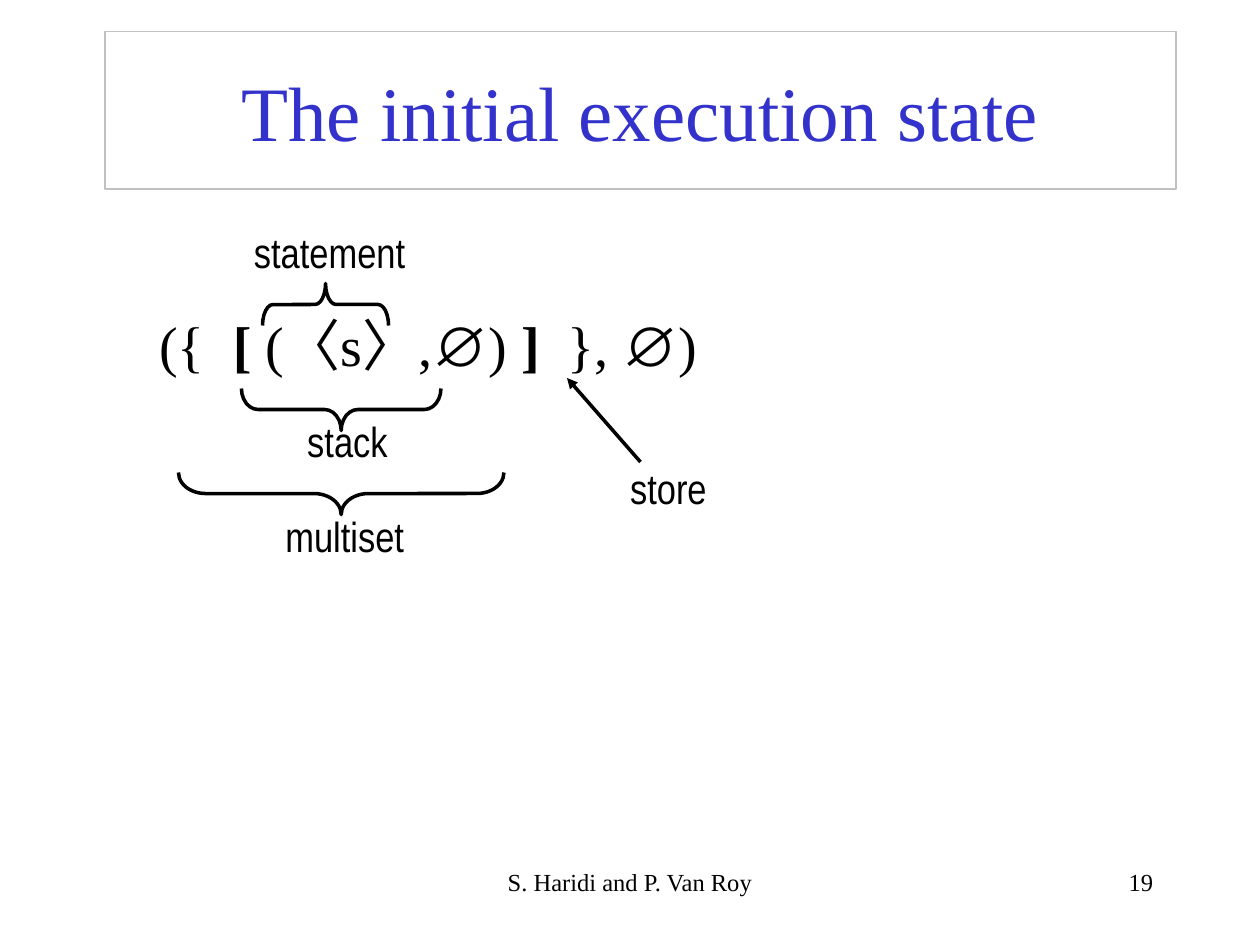
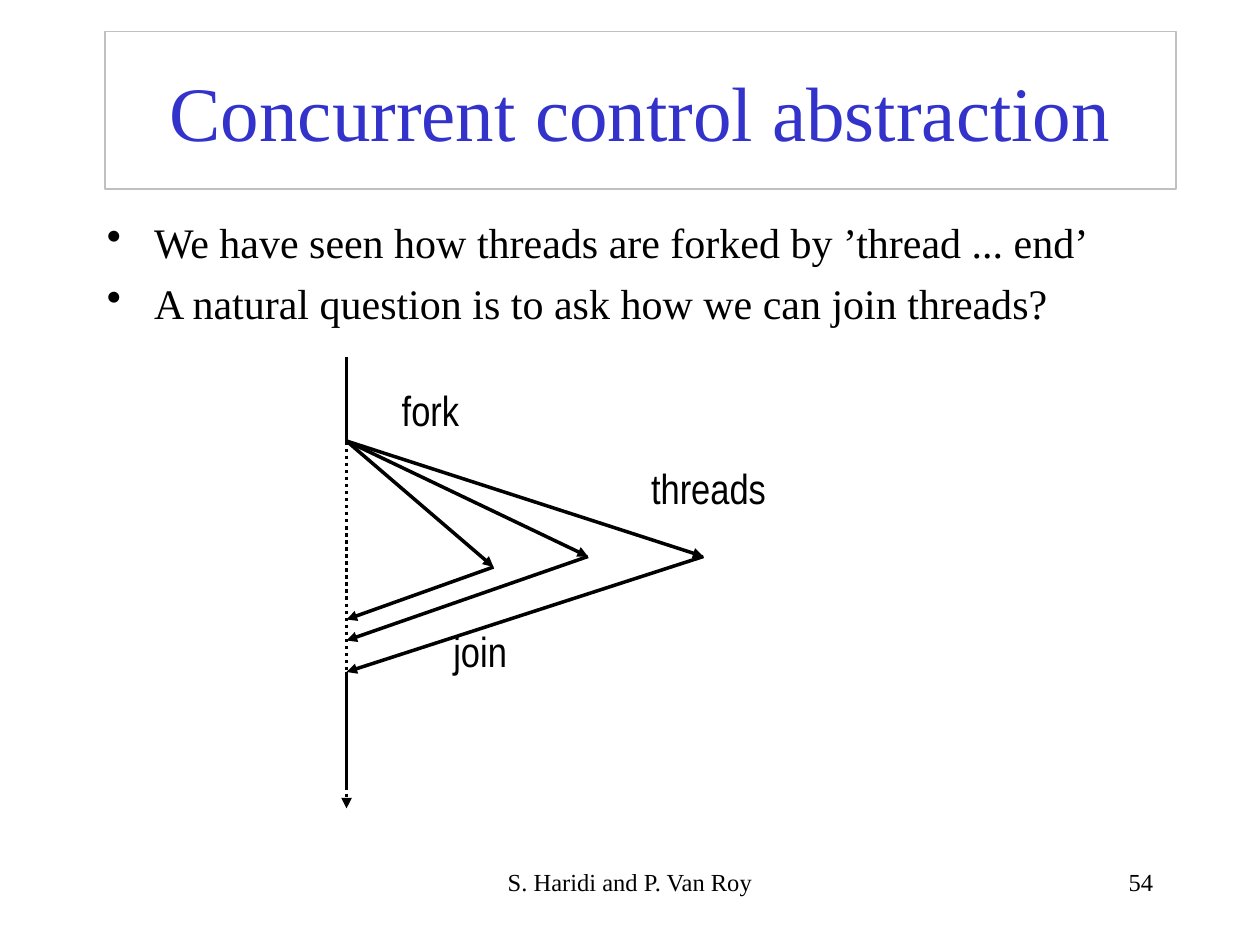
from lxml.etree import SubElement
from pptx import Presentation
from pptx.dml.color import RGBColor
from pptx.enum.dml import MSO_LINE
from pptx.enum.shapes import MSO_CONNECTOR, MSO_SHAPE
from pptx.enum.text import MSO_ANCHOR, MSO_AUTO_SIZE, PP_ALIGN
from pptx.oxml.ns import qn
from pptx.util import Pt

BLACK = RGBColor(0x00, 0x00, 0x00)
TITLE_BLUE = RGBColor(0x33, 0x33, 0xCC)
FRAME_GRAY = RGBColor(0xC0, 0xC0, 0xC0)
SERIF, SANS, NARROW = "Times New Roman", "Arial", "Arial Narrow"


def write(paragraph, text, font=SERIF, size=24, color=BLACK, bold=False, align=None):
    if align is not None:
        paragraph.alignment = align
    run = paragraph.add_run()
    run.text = text
    run.font.name = font
    run.font.size = Pt(size)
    run.font.color.rgb = color
    run.font.bold = bold


class Deck:
    """Holds the lecture style and the slide being filled."""

    def __init__(self):
        self.presentation = Presentation()
        self.presentation.slide_width = Pt(720)
        self.presentation.slide_height = Pt(540)
        self.slide = None

    def new_slide(self, title, number):
        self.slide = self.presentation.slides.add_slide(self.presentation.slide_layouts[6])
        frame = self.shape(MSO_SHAPE.RECTANGLE, 60, 18, 612, 90, FRAME_GRAY, 0.75)
        frame.text_frame.word_wrap = True
        frame.text_frame.vertical_anchor = MSO_ANCHOR.MIDDLE
        write(frame.text_frame.paragraphs[0], title, size=44, color=TITLE_BLUE,
              align=PP_ALIGN.CENTER)
        footer = self.text_box(246, 492, 228, 36)
        write(footer.paragraphs[0], "S. Haridi and P. Van Roy", size=14, align=PP_ALIGN.CENTER)
        page = self.text_box(516, 492, 150, 36)
        write(page.paragraphs[0], number, size=14, align=PP_ALIGN.RIGHT)

    def shape(self, kind, left, top, width, height, color=BLACK, weight=2):
        shape = self.slide.shapes.add_shape(kind, Pt(left), Pt(top), Pt(width), Pt(height))
        shape.shadow.inherit = False
        shape.fill.background()
        shape.line.color.rgb = color
        shape.line.width = Pt(weight)
        return shape

    def text_box(self, left, top, width, height):
        box = self.slide.shapes.add_textbox(Pt(left), Pt(top), Pt(width), Pt(height))
        box.text_frame.word_wrap = True
        return box.text_frame

    def label(self, text, left, top, width):
        frame = self.text_box(left, top, width, 36)
        frame.word_wrap = False
        frame.auto_size = MSO_AUTO_SIZE.SHAPE_TO_FIT_TEXT
        write(frame.paragraphs[0], text, font=NARROW)

    def formula(self, runs, left, top, width, height):
        paragraph = self.text_box(left, top, width, height).paragraphs[0]
        for text, style in runs:
            write(paragraph, text, size=32, **style)

    def bullets(self, items, left, top, width, height):
        frame = self.text_box(left, top, width, height)
        for index, item in enumerate(items):
            paragraph = frame.add_paragraph() if index else frame.paragraphs[0]
            properties = paragraph._p.get_or_add_pPr()
            properties.set("marL", str(Pt(27)))
            properties.set("indent", str(Pt(-27)))
            SubElement(properties, qn("a:buChar")).set("char", "•")
            if index:
                paragraph.space_before = Pt(6)
            write(paragraph, item)

    def brace(self, left, top, length, rotation, depth=24):
        center_x, center_y = left + length / 2, top + depth / 2
        brace = self.shape(MSO_SHAPE.LEFT_BRACE, center_x - depth / 2, center_y - length / 2,
                           depth, length)
        brace.adjustments[0] = length / 12 / depth
        brace.rotation = rotation

    def line(self, start, end, arrow=True, dash=None):
        points = [Pt(value) for value in (*start, *end)]
        line = self.slide.shapes.add_connector(MSO_CONNECTOR.STRAIGHT, *points)
        line.line.color.rgb = BLACK
        line.line.width = Pt(2)
        if dash is not None:
            line.line.dash_style = dash
        if arrow:
            SubElement(line.line._get_or_add_ln(), qn("a:tailEnd")).set("type", "triangle")
        SubElement(line._element.spPr, qn("a:effectLst"))


def build_execution_state(deck):
    deck.new_slide("The initial execution state", "19")
    bold, symbol = {"bold": True}, {"font": SANS}
    deck.formula([("({  ", {}), ("[", bold), (" (", {}), ("〈", symbol), ("s", {}),
                  ("〉", symbol), (",", {}), ("∅", symbol), (") ", {}), ("]", bold),
                  ("  }, ", {}), ("∅", symbol), (")", {})], 84, 174, 612, 66)
    for left, top, length, rotation in ((150, 162, 72, 90), (138, 222, 114, 270),
                                        (102, 270, 186, 270)):
        deck.brace(left, top, length, rotation)
    for text, left, top, width in (("statement", 138, 126, 101), ("stack", 168.5, 234, 60.5),
                                   ("multiset", 156, 288, 82), ("store", 353, 261, 58)):
        deck.label(text, left, top, width)
    deck.line((366, 264), (324, 216))


def build_control_abstraction(deck):
    deck.new_slide("Concurrent control abstraction", "54")
    deck.bullets(["We have seen how threads are forked by ’thread ... end’",
                  "A natural question is to ask how we can join threads?"], 54, 120, 612, 78)
    main_x = 198
    fork, last_join = (main_x, 252), (main_x, 384)
    deck.line((main_x, 204), (main_x, 462), dash=MSO_LINE.ROUND_DOT)
    for tip, join_y in (((282, 324), 354), ((336, 318), 366), ((402, 318), 384)):
        deck.line(fork, tip)
        deck.line(tip, (main_x, join_y))
    deck.line((main_x, 204), fork, arrow=False)
    deck.line(last_join, (main_x, 450), arrow=False)
    for text, left, top, width in (("fork", 222.5, 216, 47), ("join", 252, 354, 45),
                                   ("threads", 365, 261, 80)):
        deck.label(text, left, top, width)


def main():
    deck = Deck()
    build_execution_state(deck)
    build_control_abstraction(deck)
    deck.presentation.save("out.pptx")


if __name__ == "__main__":
    main()
